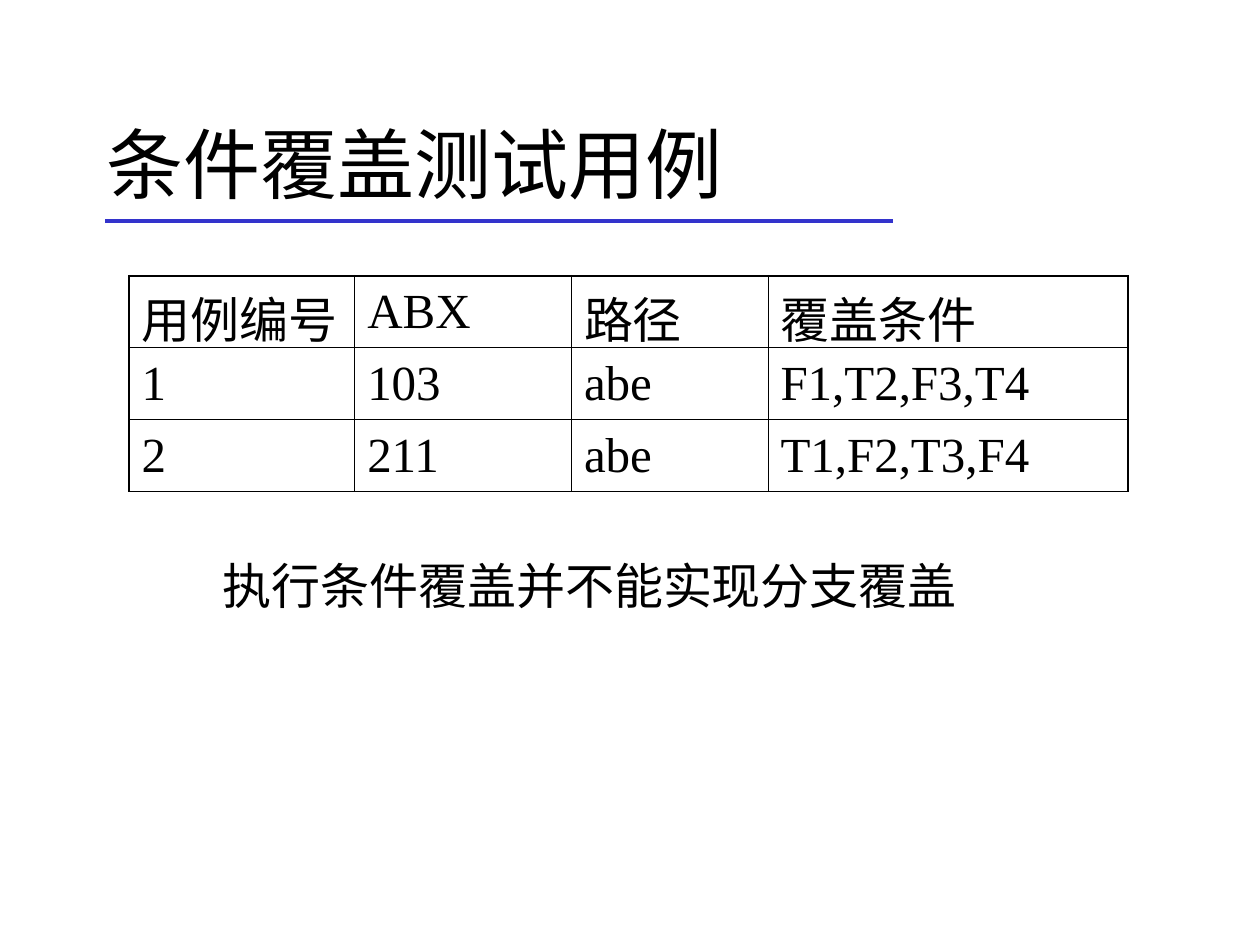
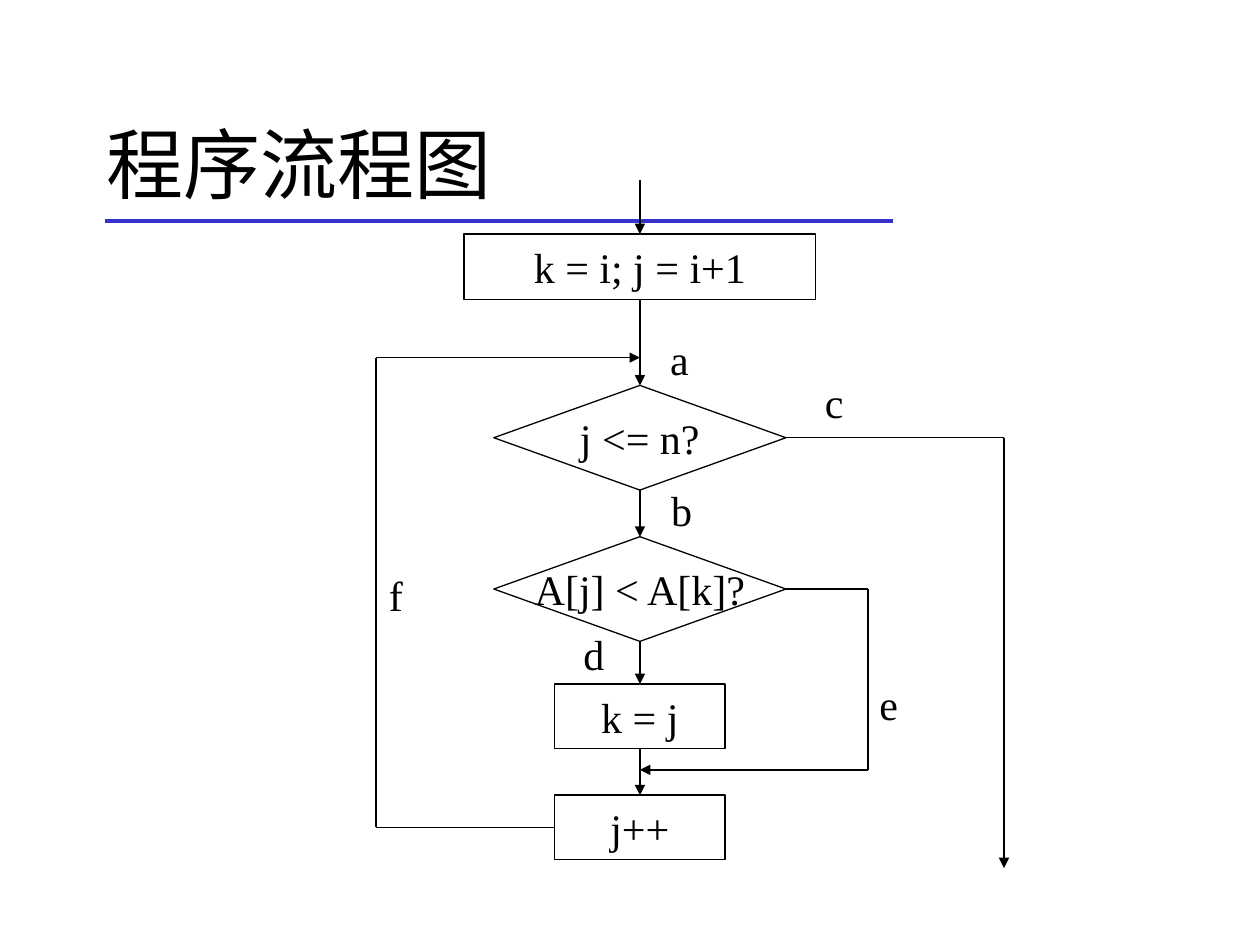
from lxml.etree import SubElement
from pptx import Presentation
from pptx.dml.color import RGBColor
from pptx.enum.shapes import MSO_CONNECTOR, MSO_SHAPE
from pptx.enum.text import MSO_ANCHOR as ANCHOR, PP_ALIGN as ALIGN
from pptx.oxml import parse_xml
from pptx.oxml.ns import nsdecls, qn
from pptx.util import Cm, Pt

BLACK, BLUE = "000000", "3333CC"
SERIF, CJK = "Times New Roman", "Noto Sans CJK SC"
TOP, LEFT, BOTTOM, RIGHT = range(4)
AXIS = 12.9  # centre line of the flowchart


def rgb(color):
    return RGBColor.from_string(color)


def set_text(tf, text, size, font=SERIF, align=ALIGN.LEFT, anchor=ANCHOR.TOP):
    tf.text = text
    tf.vertical_anchor = anchor
    p = tf.paragraphs[0]
    p.alignment = align
    r = p.runs[0]
    r.font.size = Pt(size)
    r.font.name = font
    r.font.color.rgb = rgb(BLACK)
    SubElement(r.font._element, qn("a:ea"), typeface=CJK)


def add_text(s, text, x, y, w, h, size, **style):
    tf = s.shapes.add_textbox(Cm(x), Cm(y), Cm(w), Cm(h)).text_frame
    tf.word_wrap = True
    set_text(tf, text, size, **style)


def add_line(s, start, end, color=BLACK, width=0.75, arrow=False):
    line = s.shapes.add_connector(MSO_CONNECTOR.STRAIGHT, *start, *end)
    line.line.color.rgb = rgb(color)
    line.line.width = Pt(width)
    if arrow:
        SubElement(line.line._get_or_add_ln(), qn("a:tailEnd"), type="triangle")
    SubElement(line._element.spPr, qn("a:effectLst"))
    return line


def add_slide(prs, title):
    """Add a blank slide with the title and the rule under it."""
    s = prs.slides.add_slide(prs.slide_layouts[6])
    add_line(s, (Cm(2.12), Cm(4.45)), (Cm(18), Cm(4.45)), BLUE, 2.25)
    add_text(s, title, 1.9, 1.7, 21.6, 3.18, 44, font=CJK, anchor=ANCHOR.MIDDLE)
    return s


def set_borders(cell, **widths):
    """Draw the cell's sides; the keys are L, R, T and B, in that order."""
    tc_pr = cell._tc.get_or_add_tcPr()
    for i, (side, width) in enumerate(widths.items()):
        tc_pr.insert(i, parse_xml(
            f'<a:ln{side} {nsdecls("a")} w="{Pt(width)}"><a:solidFill>'
            f'<a:srgbClr val="{BLACK}"/></a:solidFill></a:ln{side}>'))


def add_table(s, rows, x, y, col_widths, row_height, inner=0.45, outer=1.08):
    n_rows, n_cols = len(rows), len(col_widths)
    table = s.shapes.add_table(n_rows, n_cols, Cm(x), Cm(y), Cm(sum(col_widths)),
                               Cm(row_height * n_rows)).table
    table.first_row = table.horz_banding = False
    for column, width in zip(table.columns, col_widths):
        column.width = Cm(width)
    for i, row in enumerate(rows):
        table.rows[i].height = Cm(row_height)
        for j, text in enumerate(row):
            cell = table.cell(i, j)
            cell.fill.background()
            cell.vertical_anchor = ANCHOR.MIDDLE
            set_text(cell.text_frame, text, 28, anchor=None)
            set_borders(cell,
                        L=outer if j == 0 else inner,
                        R=outer if j == n_cols - 1 else inner,
                        T=outer if i == 0 else inner,
                        B=outer if i == n_rows - 1 else inner)


def add_node(s, kind, text, y, w, h):
    """Add a flowchart step centred on the axis."""
    node = s.shapes.add_shape(kind, Cm(AXIS - w / 2), Cm(y), Cm(w), Cm(h))
    node.shadow.inherit = False
    node.fill.background()
    node.line.color.rgb = rgb(BLACK)
    node.line.width = Pt(0.75)
    node.text_frame.word_wrap = False
    set_text(node.text_frame, text, 24, align=ALIGN.CENTER, anchor=ANCHOR.MIDDLE)
    return node


def add_branch(s, node, side, turn_x, *ends):
    """Lead out of a node's side to turn_x, then through ends to an arrowhead."""
    y = node.top + node.height // 2
    edge = node.left + (node.width if side == RIGHT else 0)
    points = [(edge, y), (Cm(turn_x), y)] + [(Cm(a), Cm(b)) for a, b in ends]
    last = len(points) - 2
    for i, (start, end) in enumerate(zip(points, points[1:])):
        line = add_line(s, start, end, arrow=i == last)
        if i == 0:
            line.begin_connect(node, side)


def build_cases(prs):
    s = add_slide(prs, "条件覆盖测试用例")
    rows = [("用例编号", "ABX", "路径", "覆盖条件"),
            ("1", "103", "abe", "F1,T2,F3,T4"),
            ("2", "211", "abe", "T1,F2,T3,F4")]
    add_table(s, rows, 2.6, 5.56, (4.55, 4.37, 3.96, 7.26), 1.45)
    add_text(s, "执行条件覆盖并不能实现分支覆盖", 4.24, 11.07, 16.28, 1.45, 28)


def build_flowchart(prs):
    s = add_slide(prs, "程序流程图")
    rect, diamond = MSO_SHAPE.RECTANGLE, MSO_SHAPE.DIAMOND
    nodes = [add_node(s, *step) for step in (
        (rect, "k = i; j = i+1", 4.72, 7.09, 1.32),
        (diamond, "j <= n?", 7.77, 5.89, 2.11),
        (diamond, "A[j] < A[k]?", 10.82, 5.89, 2.11),
        (rect, "k = j", 13.79, 3.43, 1.3),
        (rect, "j++", 16.03, 3.43, 1.3))]
    start, loop_test, compare, _, step = nodes

    entry = add_line(s, (Cm(AXIS), Cm(3.63)), (Cm(AXIS), start.top), arrow=True)
    entry.end_connect(start, TOP)
    for upper, lower in zip(nodes, nodes[1:]):
        line = add_line(s, (Cm(AXIS), upper.top + upper.height),
                        (Cm(AXIS), lower.top), arrow=True)
        line.begin_connect(upper, BOTTOM)
        line.end_connect(lower, TOP)

    add_branch(s, step, LEFT, 7.58, (7.58, 7.21), (AXIS, 7.21))
    add_branch(s, compare, RIGHT, 17.5, (17.5, 15.52), (AXIS, 15.52))
    add_branch(s, loop_test, RIGHT, 20.24, (20.24, 17.5))

    for label, x, y in (("a", 13.26, 6.6), ("c", 16.38, 7.47), ("b", 13.28, 9.65),
                        ("d", 11.51, 12.55), ("e", 17.48, 13.56), ("f", 7.59, 11.35)):
        add_text(s, label, x, y, 1.57, 1.27, 24)


def main():
    prs = Presentation()
    prs.slide_width, prs.slide_height = Cm(25.4), Cm(19.05)
    build_cases(prs)
    build_flowchart(prs)
    prs.save("out.pptx")


if __name__ == "__main__":
    main()
